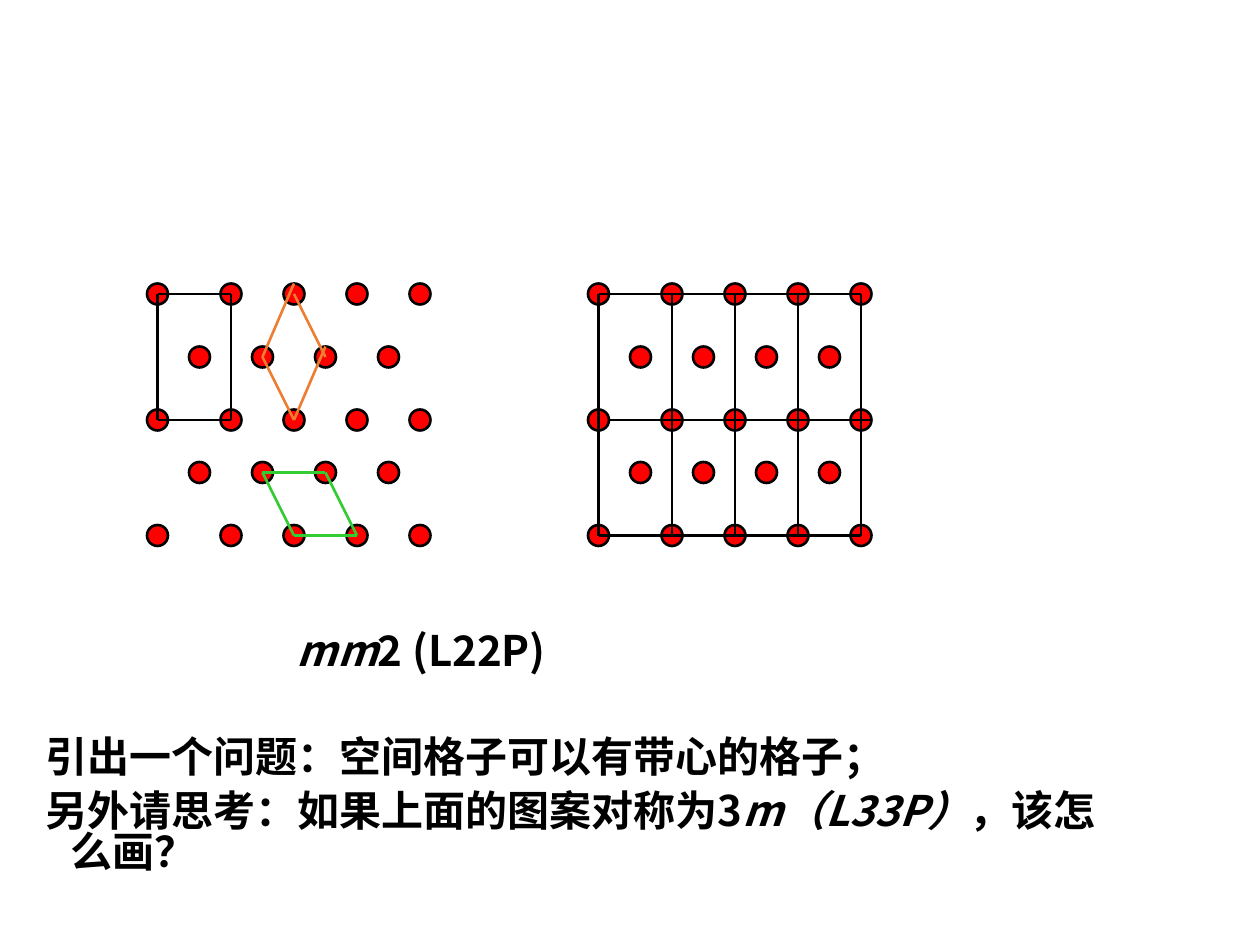
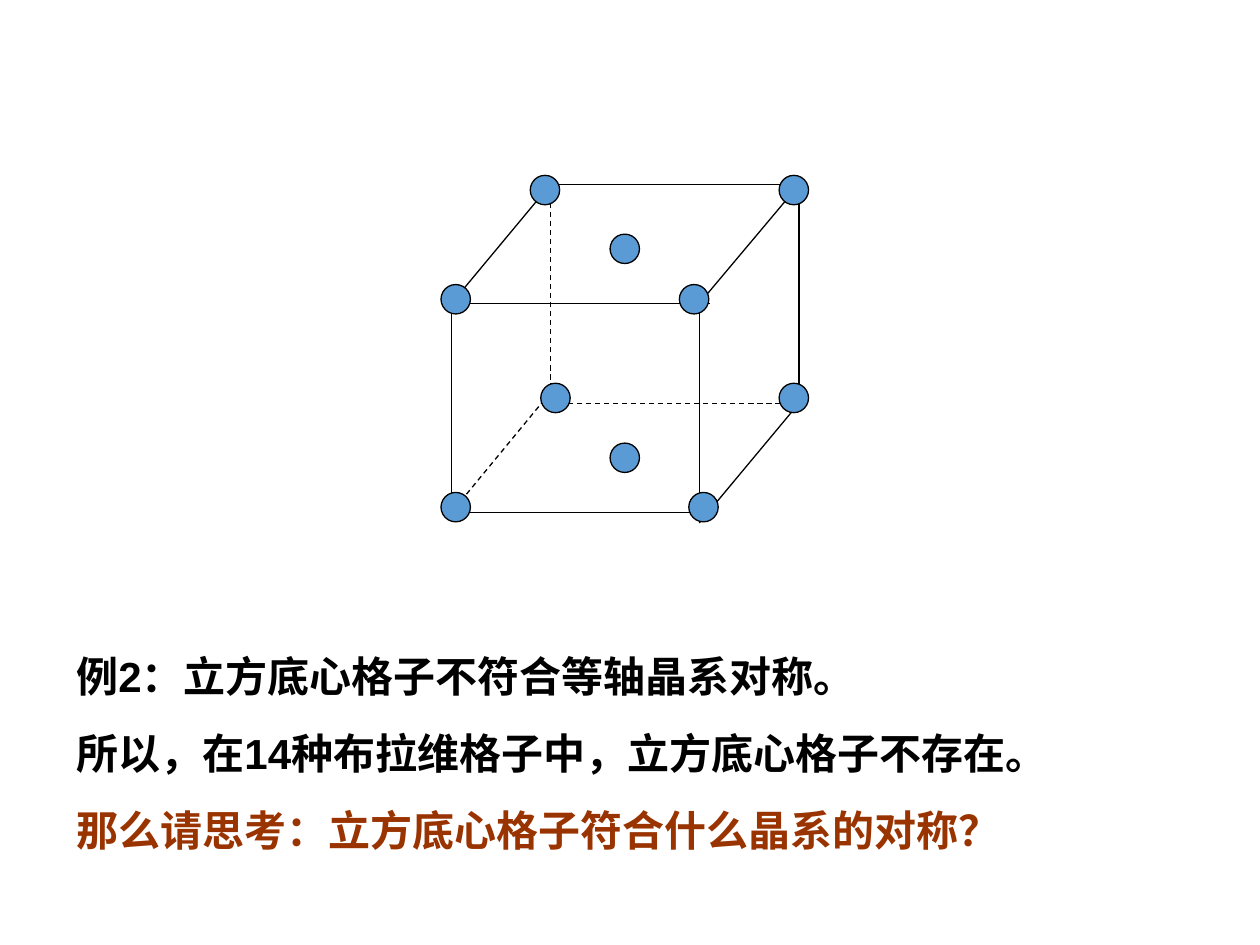
from itertools import product

from lxml import etree
from pptx import Presentation
from pptx import util as u
from pptx.dml.color import RGBColor
from pptx.enum import dml, shapes
from pptx.oxml.ns import qn

PX = 7620  # 120 px to the inch
COLORS = {"ink": "000000", "node": "FF0000", "diamond": "ED7D31",
          "parallelogram": "33CC33", "atom": "5B9BD5", "question": "993300"}
CJK_FONT = "Noto Sans CJK SC"
HANGING = 23


def draw_lattice(container, edges, nodes, node_size, node_color, weight):
    """Draw nodes (centre x, y), and edges (start, end, colour, dashed) in the given order."""
    def draw_edges():
        for start, end, color, dashed in edges:
            line = container.add_connector(shapes.MSO_CONNECTOR.STRAIGHT, *(v * PX for v in start + end))
            line.line.color.rgb = RGBColor.from_string(COLORS[color])
            line.line.width = u.Pt(weight)
            if dashed:
                line.line.dash_style = dml.MSO_LINE.DASH
            etree.SubElement(line._element.spPr, qn("a:effectLst"))

    edges_behind = node_color == "atom"
    if edges_behind:
        draw_edges()
    for x, y in nodes:
        half = node_size // 2
        node = container.add_shape(shapes.MSO_SHAPE.OVAL, (x - half) * PX, (y - half) * PX,
                                   node_size * PX, node_size * PX)
        node.shadow.inherit = False
        node.fill.solid()
        node.fill.fore_color.rgb = RGBColor.from_string(COLORS[node_color])
        node.line.color.rgb = RGBColor.from_string(COLORS["ink"])
        node.line.width = u.Pt(weight)
    if not edges_behind:
        draw_edges()


def add_text(slide, box, paragraphs, latin_font, line_height, space_before, hanging=0):
    """Add bold 24 pt paragraphs, each a list of (text, italic, colour) runs."""
    frame = slide.shapes.add_textbox(*(v * PX for v in box)).text_frame
    frame.word_wrap = True
    for index, runs in enumerate(paragraphs):
        paragraph = frame.paragraphs[0] if index == 0 else frame.add_paragraph()
        paragraph.line_spacing = u.Pt(line_height)
        if index:
            paragraph.space_before = u.Pt(space_before)
        if hanging:
            properties = paragraph._p.get_or_add_pPr()
            properties.set("marL", str(hanging * PX))
            properties.set("indent", str(-hanging * PX))
        for words, italic, color in runs:
            run = paragraph.add_run()
            run.text = words
            formats = {"name": latin_font, "size": u.Pt(24), "bold": True, "italic": italic}
            for name, value in formats.items():
                setattr(run.font, name, value)
            run.font.color.rgb = RGBColor.from_string(COLORS[color])
            etree.SubElement(run._r.get_or_add_rPr(), qn("a:ea"), typeface=CJK_FONT)


presentation = Presentation()
presentation.slide_width, presentation.slide_height = 1200 * PX, 900 * PX
blank = presentation.slide_layouts[6]

# Slide 1: choosing a cell in a centred plane lattice
slide = presentation.slides.add_slide(blank)
columns, rows = [150, 220, 280, 340, 400], [280, 400, 510]
center_columns, center_rows = [190, 250, 310, 370], [340, 450]
lattice_shift = 420
corners = list(product(columns, rows)) + list(product(center_columns, center_rows))
nodes = [(x + shift, y) for shift in (0, lattice_shift) for x, y in corners]

rectangle = [((150, 280), (220, 280)), ((150, 400), (220, 400)),
             ((150, 280), (150, 400)), ((220, 280), (220, 400))]
diamond = [((280, 270), (250, 340)), ((310, 330), (280, 400)),
           ((250, 340), (280, 400)), ((280, 280), (310, 340))]
parallelogram = [((250, 450), (310, 450)), ((280, 510), (340, 510)),
                 ((250, 450), (280, 510)), ((310, 450), (340, 510))]
grid = [((570, 280), (820, 280)), ((570, 510), (820, 510)), ((580, 400), (830, 400))]
grid += [((x + lattice_shift, rows[0]), (x + lattice_shift, rows[-1])) for x in columns]
cells = [(rectangle, "ink"), (diamond, "diamond"), (parallelogram, "parallelogram"), (grid, "ink")]
edges = [(start, end, color, False) for cell, color in cells for start, end in cell]
draw_lattice(slide.shapes, edges, nodes, 20, "node", 1.5)

add_text(slide, (271, 598, 360, 60),
         [[("mm", True, "ink"), ("2 (L22P)", False, "ink")]], CJK_FONT, 23.4, 0)
add_text(slide, (32, 699, 1037, 148),
         [[("引出一个问题：空间格子可以有带心的格子；", False, "ink")],
          [("另外请思考：如果上面的图案对称为3", False, "ink"),
           ("m（L33P）", True, "ink"), ("，该怎么画？", False, "ink")]],
         CJK_FONT, 23.4, 7.5, HANGING)

# Slide 2: base-centred cube
slide = presentation.slides.add_slide(blank)
cube = slide.shapes.add_group_shape()
solid_edges = [((515, 176), (761, 176)), ((524, 176), (430, 289)), ((761, 176), (666, 289)),
               ((430, 289), (676, 289)), ((430, 488), (676, 488)), ((430, 289), (430, 488)),
               ((761, 186), (761, 384)), ((666, 289), (666, 488)), ((761, 384), (666, 498))]
hidden_edges = [((515, 384), (761, 384)), ((524, 176), (524, 374)), ((524, 374), (430, 488))]
edges = [(start, end, "ink", dashed)
         for group, dashed in ((solid_edges, False), (hidden_edges, True)) for start, end in group]
atoms = [(434, 285), (519, 181), (529, 379), (434, 483), (756, 379),
         (661, 285), (670, 483), (756, 181), (595, 237), (595, 436)]
draw_lattice(cube.shapes, edges, atoms, 28, "atom", 0.75)

add_text(slide, (61, 613, 1096, 280),
         [[("例2：立方底心格子不符合等轴晶系对称。", False, "ink")],
          [("所以，在14种布拉维格子中，立方底心格子不存在。", False, "ink")],
          [("那么请思考：立方底心格子符合什么晶系的对称？", False, "question")]],
         "Arial", 29, 15)

presentation.save("out.pptx")
